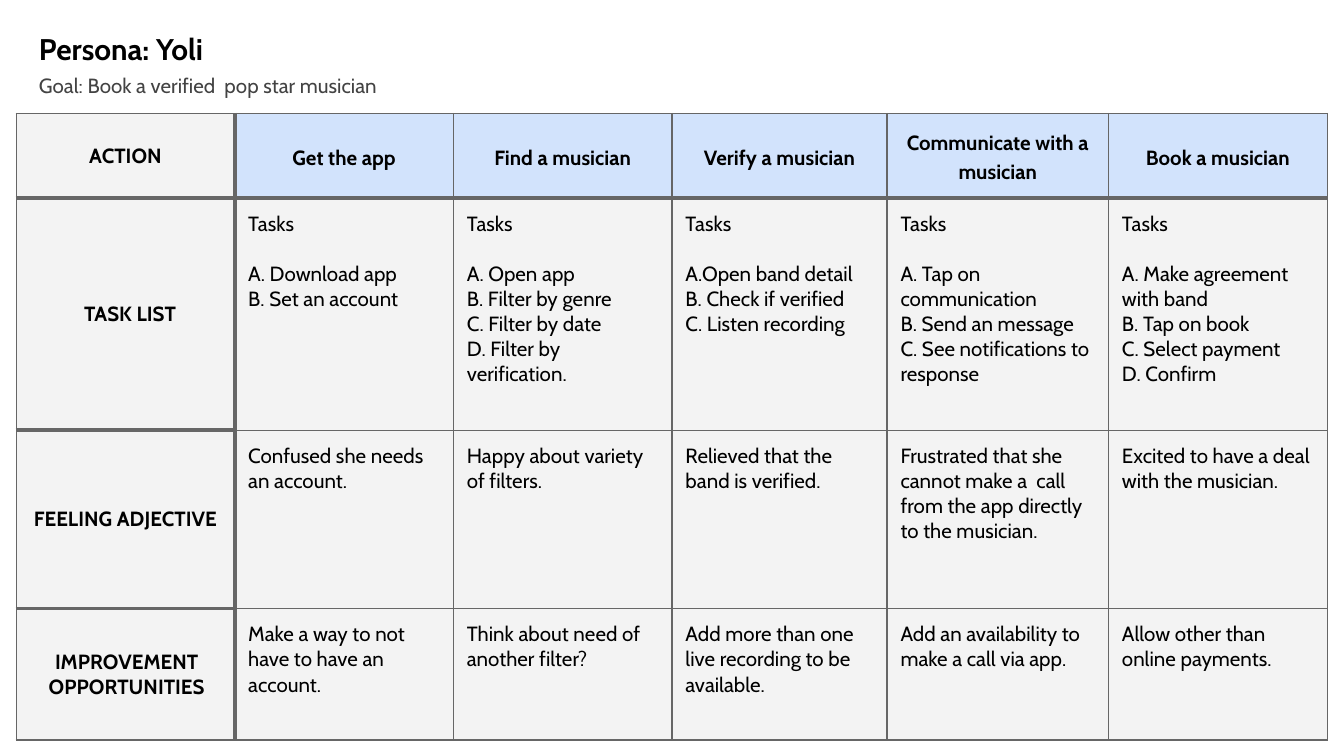
"""Build a user journey map: a persona heading above a grid of actions."""
from dataclasses import dataclass

from lxml import etree
from pptx import Presentation
from pptx.dml.color import RGBColor
from pptx.enum.text import MSO_ANCHOR, MSO_AUTO_SIZE, PP_ALIGN
from pptx.oxml.ns import qn
from pptx.util import Inches, Pt

LEFT, CENTER = PP_ALIGN.LEFT, PP_ALIGN.CENTER
TOP, MIDDLE = MSO_ANCHOR.TOP, MSO_ANCHOR.MIDDLE
FIXED = MSO_AUTO_SIZE.NONE
WIDE = Inches(10)
HIGH = WIDE * 9 // 16
FONT = "Cabin"
COLORS = {"ink": "000000", "goal": "434343", "line": "666666",
          "head": "D2E3FC", "cell": "F3F3F3"}
THIN, THICK = Pt(0.75), Pt(2.25)
PAD = Inches(0.1)
GAP = 13.4
COLS = (16.27, 16.27, 16.27, 16, 16.48, 16.27)


@dataclass(frozen=True)
class Box:
    """Place and size, in percent of the slide."""
    x: float
    y: float
    w: float
    h: float

    def scale(self) -> tuple[int, int, int, int]:
        """Return left, top, width and height as lengths."""
        return across(self.x), down(self.y), across(self.w), down(self.h)


@dataclass(frozen=True)
class Row:
    """One band of the map, its height in percent of the slide."""
    label: str
    high: float
    cells: tuple[str, ...]
    pad: float = 0.1
    tasks: bool = False


ROWS = (
    Row("ACTION", 11.2, ("Get the app", "Find a musician", "Verify a musician",
                         "Communicate with a musician", "Book a musician")),
    Row("TASK LIST", 30.7, (
        "A. Download app\nB. Set an account",
        "A. Open app\nB. Filter by genre\nC. Filter by date\nD. Filter by verification.",
        "A.Open band detail\nB. Check if verified\nC. Listen recording",
        "A. Tap on communication\nB. Send an message\nC. See notifications to response",
        "A. Make agreement with band\nB. Tap on book\nC. Select payment\nD. Confirm",
    ), pad=0.17, tasks=True),
    Row("FEELING ADJECTIVE", 23.6, (
        "Confused she needs an account.",
        "Happy about variety of filters.",
        "Relieved that the band is verified.",
        "Frustrated that she cannot make a  call from the app directly to the musician.",
        "Excited to have a deal with the musician.")),
    Row("IMPROVEMENT OPPORTUNITIES", 17.4, (
        "Make a way to not have to have an account.",
        "Think about need of another filter?",
        "Add more than one live recording to be available.",
        "Add an availability to make a call via app.",
        "Allow other than online payments."), pad=0.12),
)


def across(share: float) -> int:
    """Turn a percent of the slide's width into a length."""
    return round(WIDE * share / 100)


def down(share: float) -> int:
    """Turn a percent of the slide's height into a length."""
    return round(HIGH * share / 100)


def write(frame, text: str, *, size: float = 11, color: str = "ink", bold: bool = False,
          align=LEFT, pitch: float = 1.0, gap: float = 0) -> None:
    """Fill a text frame, one paragraph a line, with a gap after the first."""
    frame.text = text
    for num, para in enumerate(frame.paragraphs):
        props = para._p.get_or_add_pPr()
        props.set("marL", "0")
        props.set("indent", "0")
        etree.SubElement(props, qn("a:buNone"))
        para.alignment, para.line_spacing = align, pitch
        para.space_before, para.space_after = Pt(0), Pt(0 if num else gap)
        font = para.font
        for face in (font, *(run.font for run in para.runs)):
            face.name, face.size, face.bold = FONT, Pt(size), bold
            face.color.rgb = RGBColor.from_string(COLORS[color])


def place(shape, box: Box, text: str, **style) -> None:
    """Move a placeholder and write its text."""
    shape.left, shape.top, shape.width, shape.height = box.scale()
    frame = shape.text_frame
    frame.auto_size, frame.word_wrap = FIXED, True
    frame.vertical_anchor = TOP
    frame.margin_left = frame.margin_right = PAD
    frame.margin_top = frame.margin_bottom = PAD
    write(frame, text, **style)


def edge(cell, widths: dict[str, int]) -> None:
    """Draw the four borders of a cell."""
    props = cell._tc.get_or_add_tcPr()
    for num, side in enumerate("LRTB"):
        line = etree.Element(qn(f"a:ln{side}"), w=str(widths[side]))
        fill = etree.SubElement(line, qn("a:solidFill"))
        etree.SubElement(fill, qn("a:srgbClr"), val=COLORS["line"])
        props.insert(num, line)


def format_cell(cell, row: int, col: int) -> None:
    """Set the text, fill and borders of the cell at a row and column."""
    band = ROWS[row]
    label, head = col == 0, row == 0
    cell.margin_left = Inches(band.pad) if label else PAD
    cell.margin_right = cell.margin_top = cell.margin_bottom = PAD
    cell.vertical_anchor = MIDDLE if label or head else TOP
    text = band.label if label else band.cells[col - 1]
    tasks = band.tasks and not label
    write(cell.text_frame, f"Tasks\n{text}" if tasks else text,
          bold=label or head, align=CENTER if label or head else LEFT,
          pitch=1.15 if head and not label else 1.0, gap=GAP if tasks else 0)
    cell.fill.solid()
    cell.fill.fore_color.rgb = RGBColor.from_string(
        COLORS["head" if head and not label else "cell"])
    last = row == len(ROWS) - 1
    edge(cell, {
        "L": THICK if col == 1 else THIN,
        "R": THICK if label else THIN,
        "T": THICK if row == 1 or (label and not head) else THIN,
        "B": THICK if head or (label and not last) else THIN,
    })


def draw_map(slide) -> None:
    """Draw the table of actions."""
    box = Box(1.2, 15, sum(COLS), sum(row.high for row in ROWS))
    table = slide.shapes.add_table(len(ROWS), len(COLS), *box.scale()).table
    table.first_row = table.horz_banding = False
    for col, share in zip(table.columns, COLS):
        col.width = across(share)
    for num, band in enumerate(ROWS):
        table.rows[num].height = down(band.high)
        for col in range(len(COLS)):
            format_cell(table.cell(num, col), num, col)


def main() -> None:
    """Build and save the slide."""
    deck = Presentation()
    deck.slide_width, deck.slide_height = WIDE, HIGH
    slide = deck.slides.add_slide(deck.slide_layouts[1])
    title, goal = slide.placeholders
    place(title, Box(1.9, 2.3, 19.5, 7.8), "Persona: Yoli", size=16, bold=True)
    place(goal, Box(1.9, 7.9, 92.8, 5.3), "Goal: Book a verified  pop star musician",
          color="goal")
    draw_map(slide)
    deck.save("out.pptx")


if __name__ == "__main__":
    main()
